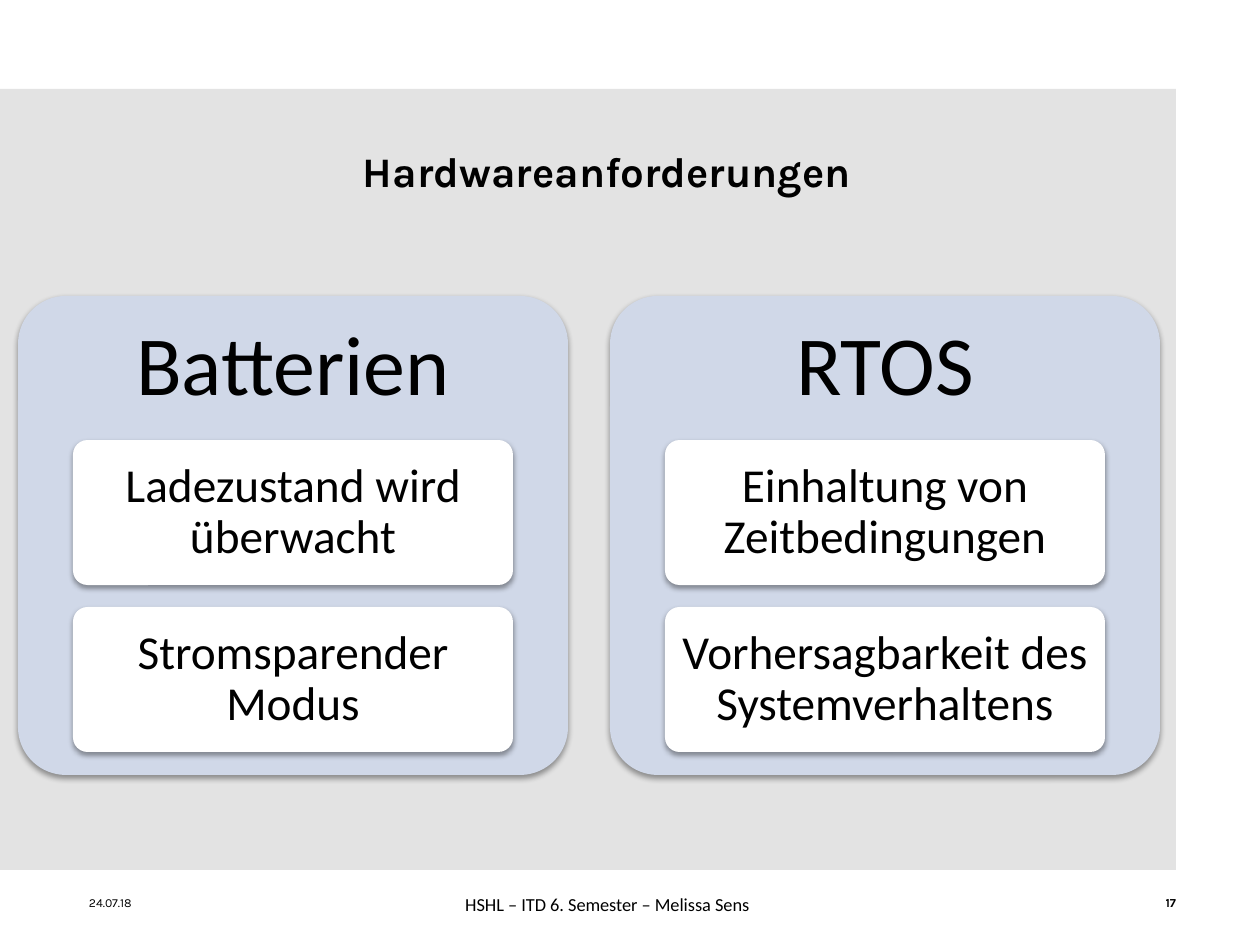
from lxml import etree
from pptx import Presentation
from pptx import util as u
from pptx.dml.color import RGBColor
from pptx.enum import shapes, text
from pptx.oxml.ns import qn

TITLE = "Hardwareanforderungen"
PANELS = [
    ("Batterien", ["Ladezustand wird überwacht", "Stromsparender Modus"]),
    ("RTOS", ["Einhaltung von Zeitbedingungen", "Vorhersagbarkeit des Systemverhaltens"]),
]
DATE = "24.07.18"
FOOTER = "HSHL – ITD 6. Semester – Melissa Sens"
PAGE = "17"

COLORS = {"backdrop": "E3E3E3", "panel": "D0D8E8", "card": "FFFFFF", "ink": "000000"}
SCALE = 914400 / 126
PANEL_X, PANEL_Y, PANEL_W, PANEL_H, PANEL_STEP = 18, 296, 550, 479, 592
HEAD_H = 144
CARD_W, CARD_H, CARD_STEP = 440, 145, 167
LEFT, CENTER, RIGHT = text.PP_ALIGN.LEFT, text.PP_ALIGN.CENTER, text.PP_ALIGN.RIGHT


def px(n):
    return u.Emu(round(n * SCALE))


def add_block(kind, box, color):
    block = slide.shapes.add_shape(kind, *map(px, box))
    block.shadow.inherit = False
    block.fill.solid()
    block.fill.fore_color.rgb = RGBColor.from_string(COLORS[color])
    block.line.fill.background()
    return block


def add_rounded(box, color):
    block = add_block(shapes.MSO_SHAPE.ROUNDED_RECTANGLE, box, color)
    block.adjustments[0] = 0.1
    effects = block._element.spPr.find(qn("a:effectLst"))
    shadow = etree.SubElement(effects, qn("a:outerShdw"), blurRad=str(u.Pt(3.1)),
                              dist=str(u.Pt(1.6)), dir="5400000", rotWithShape="0")
    ink = etree.SubElement(shadow, qn("a:srgbClr"), val=COLORS["ink"])
    etree.SubElement(ink, qn("a:alpha"), val="38000")
    return block


def write(holder, words, font, size, align=CENTER, bold=False, inset=0, spacing=None, wrap=True):
    frame = holder.text_frame
    frame.word_wrap = wrap
    frame.vertical_anchor = text.MSO_ANCHOR.MIDDLE
    frame.margin_left = frame.margin_right = px(inset)
    frame.margin_top = frame.margin_bottom = px(inset)
    line = frame.paragraphs[0]
    line.text = words
    line.alignment = align
    line.line_spacing = spacing
    line.font.name = font
    line.font.size = u.Pt(size)
    line.font.bold = bold
    line.font.color.rgb = RGBColor.from_string(COLORS["ink"])


def add_text(box, *args, **options):
    write(slide.shapes.add_textbox(*map(px, box)), *args, **options)


deck = Presentation()
deck.slide_width, deck.slide_height = px(1260), px(945)
slide = deck.slides.add_slide(deck.slide_layouts[6])

add_block(shapes.MSO_SHAPE.RECTANGLE, (0, 89, 1176, 781), "backdrop")
add_text((89, 106, 1036, 130), TITLE, "Karla", 24, bold=True)

for column, (heading, points) in enumerate(PANELS):
    x = PANEL_X + column * PANEL_STEP
    add_rounded((x, PANEL_Y, PANEL_W, PANEL_H), "panel")
    add_text((x, PANEL_Y, PANEL_W, HEAD_H), heading, "Calibri", 48, inset=25, spacing=0.9)
    for row, point in enumerate(points):
        card = add_rounded((x + (PANEL_W - CARD_W) / 2, PANEL_Y + HEAD_H + row * CARD_STEP,
                            CARD_W, CARD_H), "card")
        write(card, point, "Calibri", 27, inset=12, spacing=0.9)

add_text((89, 895, 294, 15), DATE, "Karla", 7, LEFT)
add_text((450, 887, 315, 35), FOOTER, "Calibri", 10.5, wrap=False)
add_text((882, 895, 294, 15), PAGE, "Karla", 7, RIGHT, bold=True)

deck.save("out.pptx")
